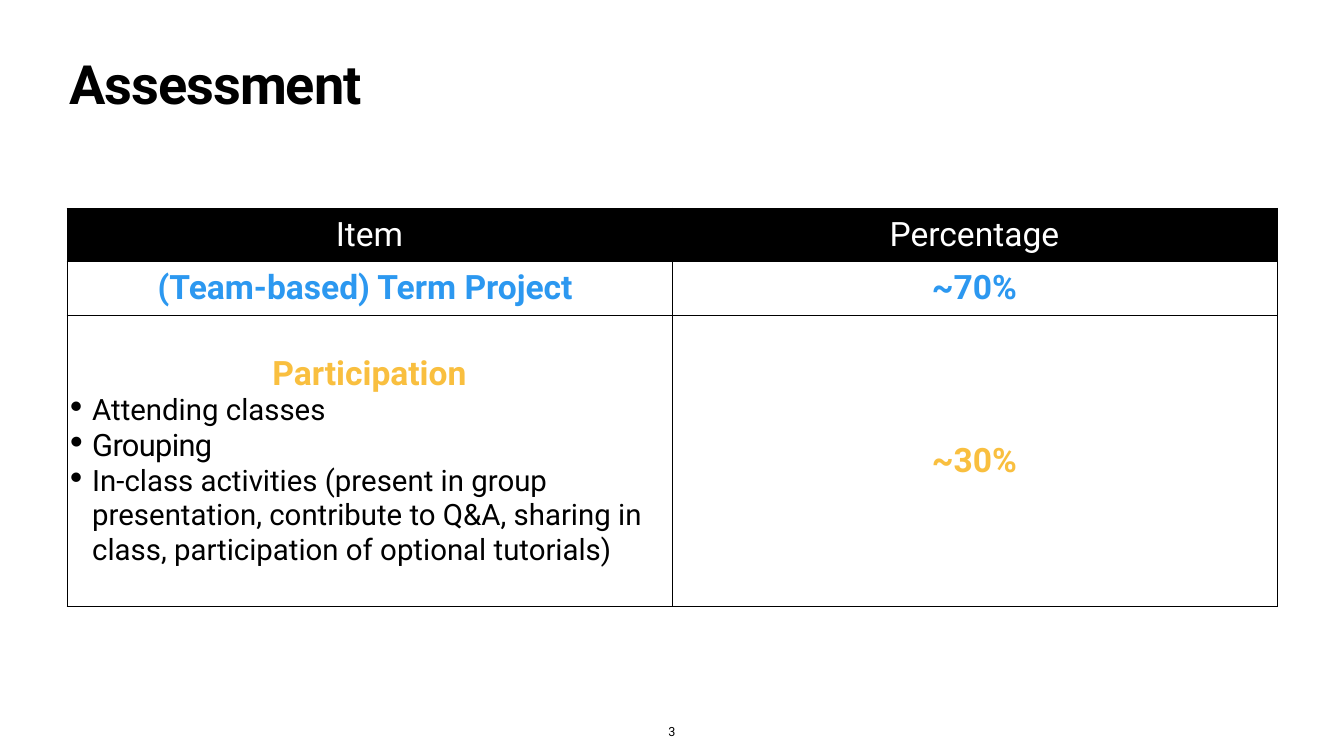
"""Build the course assessment slide with its weighting table."""
from lxml import etree
from pptx import Presentation
from pptx.dml.color import RGBColor
from pptx.enum.text import MSO_ANCHOR, MSO_AUTO_SIZE, PP_ALIGN
from pptx.oxml.ns import qn
from pptx.util import Inches, Pt

CENTER, LEFT = PP_ALIGN.CENTER, PP_ALIGN.LEFT
TOP, MIDDLE, BOTTOM = MSO_ANCHOR.TOP, MSO_ANCHOR.MIDDLE, MSO_ANCHOR.BOTTOM
NO_AUTOFIT = MSO_AUTO_SIZE.NONE
BLACK = RGBColor(0x00, 0x00, 0x00)
WHITE = RGBColor(0xFF, 0xFF, 0xFF)
BLUE = RGBColor(0x2C, 0x98, 0xF0)
YELLOW = RGBColor(0xF9, 0xBF, 0x3F)
FONT = "Roboto"

SLIDE_WIDTH, SLIDE_HEIGHT = Inches(26.67), Inches(15)
MARGIN = Inches(1.33)
INSET = Inches(0.06)
BULLET_INDENT = Inches(0.44)
TABLE_TOP = Inches(4.13)
ROW_HEIGHTS = [Inches(1.06), Inches(1.06), Inches(5.79)]

TITLE = "Assessment"
PAGE_NUMBER = "3"
HEADER = {"size": 48, "color": WHITE}
PROJECT = {"size": 48, "color": BLUE, "bold": True}
PARTICIPATION = {"size": 48, "color": YELLOW, "bold": True}
ACTIVITY = {"size": 42, "bullet": True}
TIGHT_ACTIVITY = {"size": 44, "bullet": True, "spacing": -1}
ROWS = [
    [[("Item", HEADER)], [("Percentage", HEADER)]],
    [[("(Team-based) Term Project ", PROJECT)], [("~70%", PROJECT)]],
    [
        [
            (" Participation ", PARTICIPATION),
            ("Attending classes", ACTIVITY),
            ("Grouping", TIGHT_ACTIVITY),
            ("In-class activities (present in group presentation, contribute to Q&A, "
             "sharing in class, participation of optional tutorials)", ACTIVITY),
        ],
        [("~30%", PARTICIPATION)],
    ],
]


def add_run(paragraph, text, size, color=BLACK, bold=False, spacing=0):
    run = paragraph.add_run()
    run.text = text
    run.font.name = FONT
    run.font.size = Pt(size)
    run.font.bold = bold
    run.font.color.rgb = color
    if spacing:
        run.font._element.set("spc", str(int(spacing * 100)))


def add_bullet(paragraph):
    properties = paragraph._p.get_or_add_pPr()
    properties.set("marL", str(BULLET_INDENT))
    properties.set("indent", str(-BULLET_INDENT))
    etree.SubElement(properties, qn("a:buSzPct"), val="123000")
    etree.SubElement(properties, qn("a:buChar"), char="•")


def set_insets(holder):
    holder.margin_left = holder.margin_right = INSET
    holder.margin_top = holder.margin_bottom = INSET


def add_borders(cell, bottom_width):
    properties = cell._tc.get_or_add_tcPr()
    for side, width in (("L", 1), ("R", 1), ("T", 1), ("B", bottom_width)):
        line = etree.SubElement(properties, qn("a:ln" + side), w=str(Pt(width)))
        fill = etree.SubElement(line, qn("a:solidFill"))
        etree.SubElement(fill, qn("a:srgbClr"), val=str(BLACK))


def fill_cell(cell, content, is_header):
    set_insets(cell)
    cell.vertical_anchor = MIDDLE
    add_borders(cell, 3 if is_header else 1)
    if is_header:
        cell.fill.solid()
        cell.fill.fore_color.rgb = BLACK
    else:
        cell.fill.background()
    for index, (text, style) in enumerate(content):
        frame = cell.text_frame
        paragraph = frame.add_paragraph() if index else frame.paragraphs[0]
        run_style = dict(style)
        has_bullet = run_style.pop("bullet", False)
        paragraph.alignment = LEFT if has_bullet else CENTER
        if has_bullet:
            add_bullet(paragraph)
        add_run(paragraph, text, **run_style)


def add_title(slide):
    title = slide.shapes.title
    title.left, title.top = Inches(1.32), Inches(1.18)
    title.width, title.height = Inches(24.03), Inches(1.57)
    frame = title.text_frame
    set_insets(frame)
    frame.auto_size = NO_AUTOFIT
    frame.vertical_anchor = TOP
    paragraph = frame.paragraphs[0]
    paragraph.alignment = LEFT
    paragraph.line_spacing = 0.8
    add_run(paragraph, TITLE, 77.3, bold=True, spacing=-1.5)


def add_table(slide):
    columns = len(ROWS[0])
    table = slide.shapes.add_table(
        len(ROWS), columns, MARGIN, TABLE_TOP,
        SLIDE_WIDTH - 2 * MARGIN, sum(ROW_HEIGHTS)).table
    table.first_row = table.horz_banding = False
    for row_index, (height, row) in enumerate(zip(ROW_HEIGHTS, ROWS)):
        table.rows[row_index].height = height
        for column_index, content in enumerate(row):
            fill_cell(table.cell(row_index, column_index), content, row_index == 0)


def add_page_number(slide):
    width = Inches(0.26)
    box = slide.shapes.add_textbox(
        (SLIDE_WIDTH - width) // 2, Inches(14.31), width, Inches(0.41))
    frame = box.text_frame
    set_insets(frame)
    frame.word_wrap = False
    frame.vertical_anchor = BOTTOM
    frame.paragraphs[0].alignment = CENTER
    add_run(frame.paragraphs[0], PAGE_NUMBER, 18)


def main():
    presentation = Presentation()
    presentation.slide_width, presentation.slide_height = SLIDE_WIDTH, SLIDE_HEIGHT
    slide = presentation.slides.add_slide(presentation.slide_layouts[5])
    add_page_number(slide)
    add_title(slide)
    add_table(slide)
    presentation.save("out.pptx")


if __name__ == "__main__":
    main()
